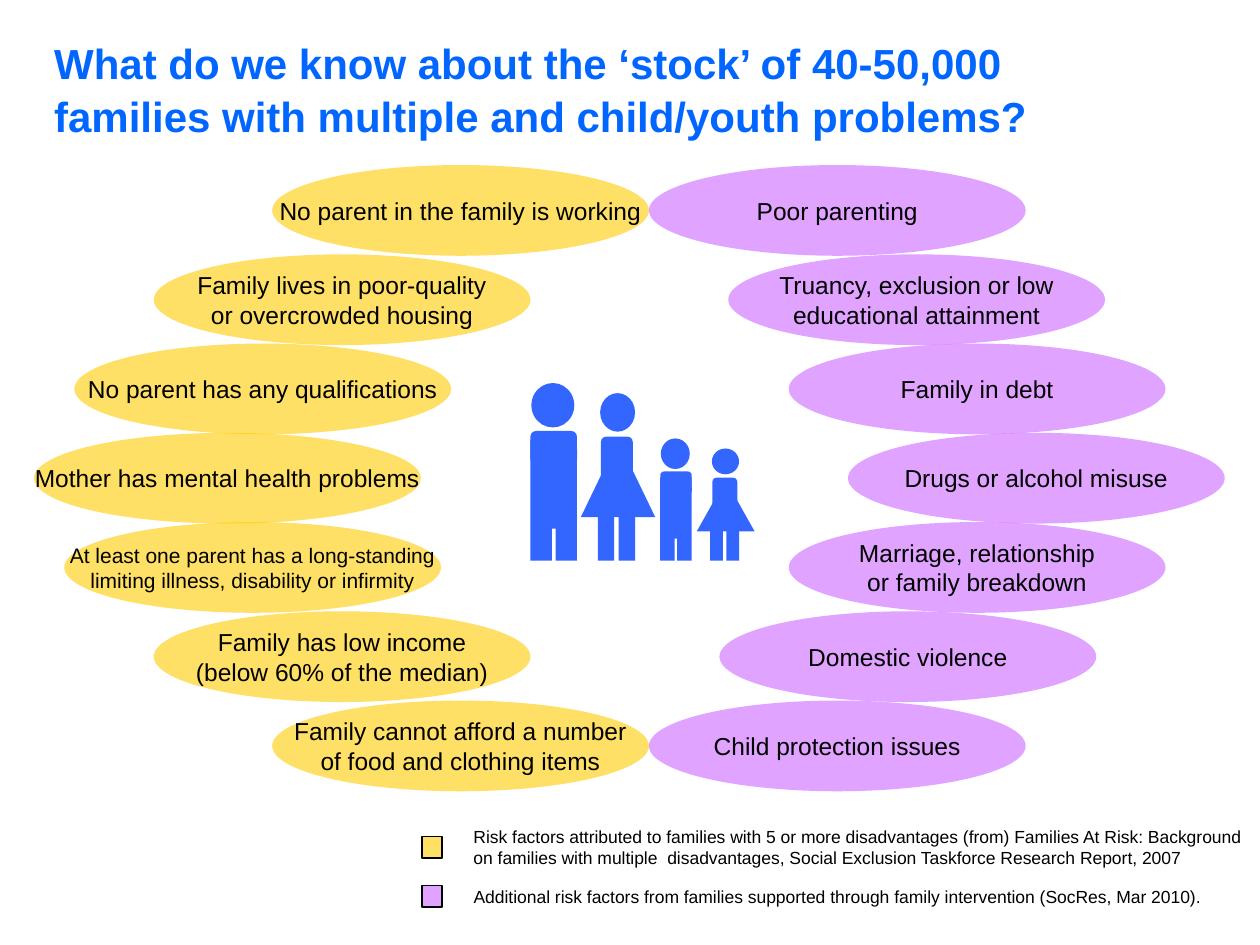
from lxml import etree
from pptx import Presentation
from pptx.dml.color import RGBColor
from pptx.enum import shapes, text
from pptx.oxml.ns import qn
from pptx.util import Inches, Pt

THEME = {
    "font": "Arial", "title": "0066FF", "ink": "000000", "people": "3366FF",
    "family": "FFCC00", "extra": "CC66FF", "alpha": 60,
    "title_size": 24, "factor_size": 14, "small_size": 12, "legend_size": 10,
}

TITLE = ("What do we know about the ‘stock’ of 40-50,000 families "
         "with multiple and child/youth problems?")

# left edge, lines; from top to bottom
FACTORS = {
    "family": [
        (2.16, ["No parent in the family is working"]),
        (1.22, ["Family lives in poor-quality", "or overcrowded housing"]),
        (0.59, ["No parent has any qualifications"]),
        (0.27, ["Mother has mental health problems"]),
        (0.51, ["At least one parent has a long-standing",
                "limiting illness, disability or infirmity"]),
        (1.22, ["Family has low income", "(below 60% of the median)"]),
        (2.16, ["Family cannot afford a number", "of food and clothing items"]),
    ],
    "extra": [
        (5.15, ["Poor parenting"]),
        (5.78, ["Truancy, exclusion or low", "educational attainment"]),
        (6.26, ["Family in debt"]),
        (6.73, ["Drugs or alcohol misuse"]),
        (6.26, ["Marriage, relationship", "or family breakdown"]),
        (5.71, ["Domestic violence"]),
        (5.15, ["Child protection issues"]),
    ],
}
WIDER = {"Mother has mental health problems": 3.07}
SMALLER = {"At least one parent has a long-standing"}
OVAL_W, OVAL_H = 2.99, 0.72
FIRST_TOP, LAST_TOP = 1.31, 5.56

# legend key: top of swatch, text box, wording
LEGEND = [
    ("family", 6.64, (3.66, 6.51, 6.34, 0.44),
     "Risk factors attributed to families with 5 or more disadvantages (from) "
     "Families At Risk: Background on families with multiple  disadvantages, "
     "Social Exclusion Taskforce Research Report, 2007"),
    ("extra", 7.03, (3.66, 6.98, 6.02, 0.27),
     "Additional risk factors from families supported through family "
     "intervention (SocRes, Mar 2010)."),
]

# body parts as fractions of the figure's box
MS = shapes.MSO_SHAPE
MALE = [
    (MS.OVAL, 0.02, 0, 0.92, 0.25),
    (MS.RECTANGLE, 0, 0.32, 0.46, 0.68),
    (MS.RECTANGLE, 0.54, 0.32, 0.46, 0.68),
    (MS.RECTANGLE, 0.08, 0.32, 0.84, 0.5),
    (MS.ROUNDED_RECTANGLE, 0, 0.27, 1, 0.19),
]
FEMALE = [
    (MS.ISOSCELES_TRIANGLE, 0, 0.28, 1, 0.46),
    (MS.RECTANGLE, 0.23, 0.61, 0.22, 0.39),
    (MS.RECTANGLE, 0.51, 0.61, 0.22, 0.39),
    (MS.ROUNDED_RECTANGLE, 0.27, 0.26, 0.43, 0.29),
    (MS.OVAL, 0.26, 0, 0.47, 0.23),
]
PEOPLE = [
    (MALE, 4.21, 3.04, 0.37, 1.41),
    (FEMALE, 4.61, 3.12, 0.59, 1.33),
    (MALE, 5.24, 3.48, 0.25, 0.97),
    (FEMALE, 5.53, 3.56, 0.46, 0.89),
]


def add_shape(parent, kind, box, colour, alpha=None):
    sp = parent.add_shape(kind, *map(Inches, box))
    sp.shadow.inherit = False
    sp.fill.solid()
    sp.fill.fore_color.rgb = RGBColor.from_string(THEME[colour])
    sp.line.fill.background()
    if alpha:
        clr = sp.fill._xPr.find(".//" + qn("a:srgbClr"))
        etree.SubElement(clr, qn("a:alpha"), val=str(alpha * 1000))
    return sp


def write(tf, lines, size, colour="ink", align=None, bold=False):
    for i, line in enumerate(lines):
        p = tf.paragraphs[0] if i == 0 else tf.add_paragraph()
        p.alignment = align
        r = p.add_run()
        r.text = line
        r.font.name = THEME["font"]
        r.font.size = Pt(THEME[size])
        r.font.bold = bold
        r.font.color.rgb = RGBColor.from_string(THEME[colour])


def add_title(s):
    title = s.shapes.title
    title.left, title.top, title.width, title.height = map(
        Inches, (0.43, 0.28, 8.83, 0.71))
    tf = title.text_frame
    tf.margin_left = tf.margin_top = tf.margin_right = tf.margin_bottom = 0
    tf.vertical_anchor = text.MSO_ANCHOR.TOP
    tf.auto_size = text.MSO_AUTO_SIZE.NONE
    write(tf, [TITLE], "title_size", "title", text.PP_ALIGN.LEFT, bold=True)
    tf.paragraphs[0].line_spacing = 1.05


def add_people(s):
    group = s.shapes.add_group_shape()
    for parts, x, y, w, h in PEOPLE:
        for kind, fx, fy, fw, fh in parts:
            box = (x + fx * w, y + fy * h, fw * w, fh * h)
            add_shape(group.shapes, kind, box, "people")


def add_factors(s):
    for key, factors in FACTORS.items():
        step = (LAST_TOP - FIRST_TOP) / (len(factors) - 1)
        for i, (left, lines) in enumerate(factors):
            box = (left, FIRST_TOP + i * step, WIDER.get(lines[0], OVAL_W), OVAL_H)
            sp = add_shape(s.shapes, MS.OVAL, box, key, THEME["alpha"])
            tf = sp.text_frame
            tf.word_wrap = False
            tf.vertical_anchor = text.MSO_ANCHOR.MIDDLE
            size = "small_size" if lines[0] in SMALLER else "factor_size"
            write(tf, lines, size, align=text.PP_ALIGN.CENTER)


def add_legend(s):
    for key, top, box, wording in LEGEND:
        swatch = add_shape(s.shapes, MS.RECTANGLE, (3.35, top, 0.16, 0.17),
                           key, THEME["alpha"])
        swatch.line.color.rgb = RGBColor.from_string(THEME["ink"])
        swatch.line.width = Pt(0.75)
        tf = s.shapes.add_textbox(*map(Inches, box)).text_frame
        tf.word_wrap = True
        write(tf, [wording], "legend_size")


def main():
    prs = Presentation()
    prs.slide_width, prs.slide_height = Inches(10), Inches(7.5)
    s = prs.slides.add_slide(prs.slide_layouts[5])
    add_title(s)
    add_people(s)
    add_factors(s)
    add_legend(s)
    prs.save("out.pptx")


if __name__ == "__main__":
    main()
